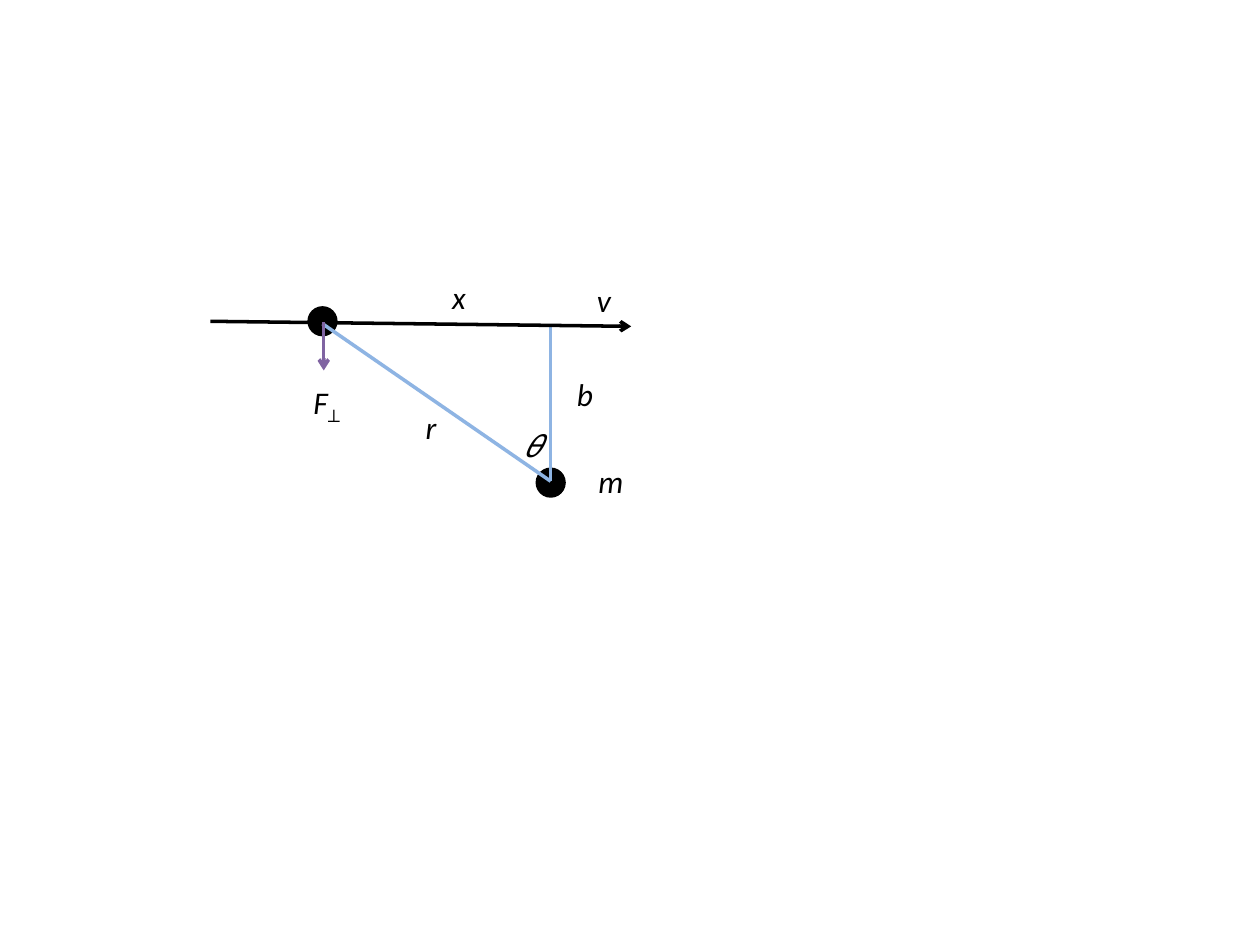
from dataclasses import dataclass

from lxml.etree import SubElement
from pptx import Presentation
from pptx.dml.color import RGBColor
from pptx.enum.shapes import MSO_CONNECTOR, MSO_SHAPE
from pptx.enum.text import MSO_AUTO_SIZE
from pptx.oxml.ns import qn
from pptx.util import Pt


@dataclass(frozen=True)
class Theme:
    black: RGBColor = RGBColor(0, 0, 0)
    blue: RGBColor = RGBColor(0x8E, 0xB4, 0xE3)
    purple: RGBColor = RGBColor(0x80, 0x64, 0xA2)
    font: str = "Calibri"
    label_size: int = 18
    line_width: int = 2
    ball_diameter: float = 17.28


THEME = Theme()
LABEL_HEIGHT = 29


def add_ball(slide, center_x, center_y):
    diameter = THEME.ball_diameter
    shape = slide.shapes.add_shape(
        MSO_SHAPE.OVAL,
        Pt(center_x - diameter / 2),
        Pt(center_y - diameter / 2),
        Pt(diameter),
        Pt(diameter),
    )
    shape.shadow.inherit = False
    shape.fill.solid()
    shape.fill.fore_color.rgb = THEME.black
    shape.line.fill.background()


def add_line(slide, start, end, color, arrow=False):
    connector = slide.shapes.add_connector(
        MSO_CONNECTOR.STRAIGHT, *(Pt(value) for value in start + end)
    )
    connector.line.width = Pt(THEME.line_width)
    connector.line.color.rgb = color
    properties = connector.element.find(qn("p:spPr"))
    if arrow:
        SubElement(properties.find(qn("a:ln")), qn("a:tailEnd"), type="arrow")
    SubElement(properties, qn("a:effectLst"))


def add_run(paragraph, text, *, italic=True, baseline=None):
    run = paragraph.add_run()
    run.text = text
    run.font.name = THEME.font
    run.font.size = Pt(THEME.label_size)
    run.font.italic = italic
    run.font.color.rgb = THEME.black
    if baseline is not None:
        run.font._element.set("baseline", str(baseline * 1000))


def add_label(slide, text, *, left, top, width, subscript=None):
    shape = slide.shapes.add_textbox(Pt(left), Pt(top), Pt(width), Pt(LABEL_HEIGHT))
    shape.text_frame.word_wrap = False
    shape.text_frame.auto_size = MSO_AUTO_SIZE.SHAPE_TO_FIT_TEXT
    paragraph = shape.text_frame.paragraphs[0]
    add_run(paragraph, text)
    if subscript:
        add_run(paragraph, subscript, baseline=-25)


def main():
    presentation = Presentation()
    presentation.slide_width = Pt(720)
    presentation.slide_height = Pt(540)
    slide = presentation.slides.add_slide(presentation.slide_layouts[6])

    mass = (314.7, 275)
    add_ball(slide, mass[0], 275.8)
    add_line(slide, (mass[0], 185.8), mass, THEME.blue)
    add_ball(slide, 184.3, 183.6)

    labels = (
        ("b", 322.6, 211, 28),
        ("m", 334.8, 260.6, 33),
        ("v", 334, 157, 27.4),
        ("r", 236.2, 229.7, 25),
        ("x", 251.3, 155.5, 26.6),
        ("𝜃", 293, 239.8, 28),
    )
    for text, left, top, width in labels:
        add_label(slide, text, left=left, top=top, width=width)
    add_label(slide, "F", left=172, top=215.3, width=34.6, subscript="⟂")

    add_line(slide, (120.2, 183.6), (360.7, 186.5), THEME.black, arrow=True)
    add_line(slide, (184.3, 185), mass, THEME.blue)
    add_line(slide, (185, 184.3), (185, 211.7), THEME.purple, arrow=True)

    presentation.save("out.pptx")


main()
